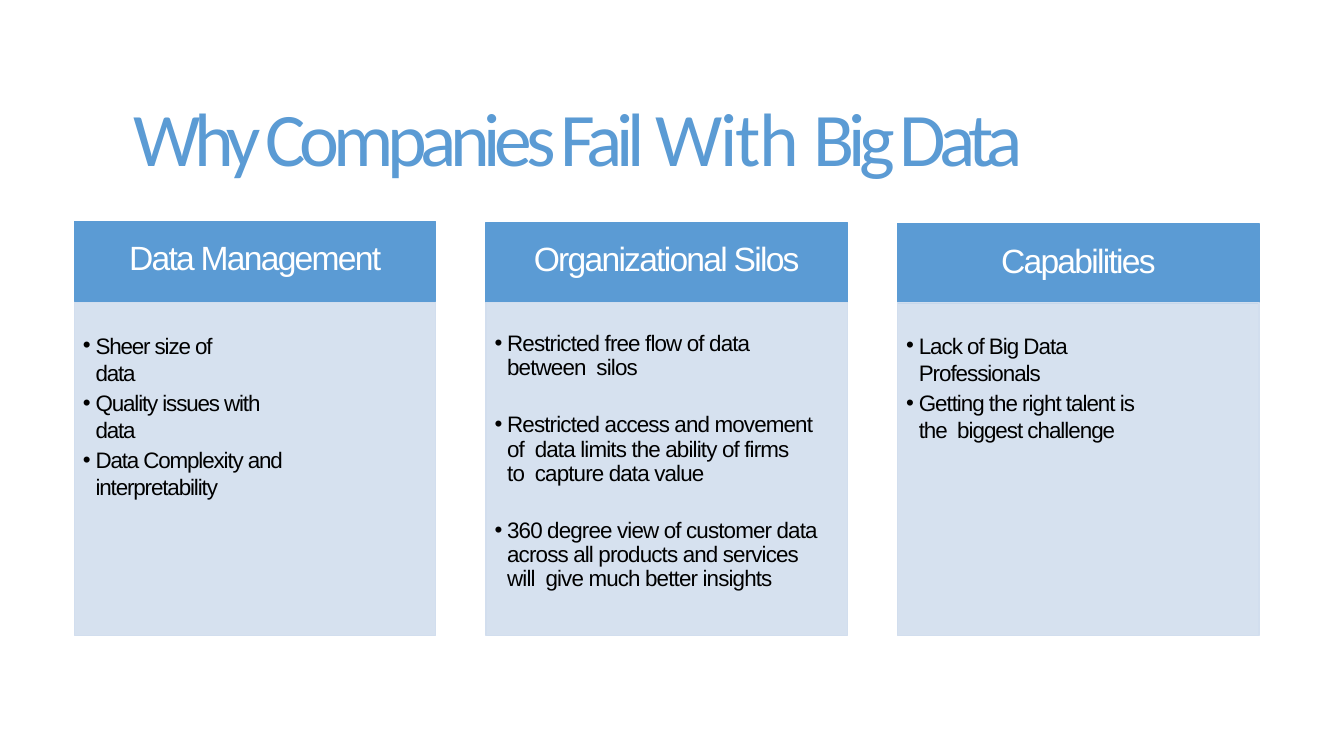
from lxml.etree import SubElement
from pptx import Presentation
from pptx.dml.color import RGBColor
from pptx.enum.shapes import MSO_SHAPE
from pptx.enum.text import MSO_ANCHOR, MSO_AUTO_SIZE, PP_ALIGN
from pptx.oxml.ns import qn
from pptx.util import Pt

PX = 9525  # EMU in one px, 96 px to the inch
BLUE = RGBColor(0x5B, 0x9B, 0xD4)
PALE = RGBColor(0xD2, 0xDE, 0xEE)
WHITE = RGBColor(0xFF, 0xFF, 0xFF)
BLACK = RGBColor(0x00, 0x00, 0x00)

CARD_LEFT, CARD_STEP, CARD_WIDTH = 71, 392, 344
HEADER_TOP, HEADER_HEIGHT = 211, 76
PANEL_TOP, PANEL_HEIGHT = 288, 317
LIST_TOP, LIST_HEIGHT, LIST_INSET = 316, 280, 8
HANGING = 12

# Letter spacing in points
TITLE_SPACING = -4.5
WIDE_WORD, WIDE_SPACING = "With ", -1.6
HEADING_SPACING = -1.25

# Heading, letter spacing, line spacing, space between items, items
CARDS = [
    ("Data Management", -0.8, 1.0, 2.5, [
        "Sheer size of\vdata",
        "Quality issues with\vdata",
        "Data Complexity and\vinterpretability",
    ]),
    ("Organizational Silos", -0.6, Pt(17.3), 23.5, [
        "Restricted free flow of data\vbetween  silos",
        "Restricted access and movement\v"
        "of  data limits the ability of firms\vto  capture data value",
        "360 degree view of customer data\v"
        "across all products and services\vwill  give much better insights",
    ]),
    ("Capabilities", -0.7, 1.0, 2.5, [
        "Lack of Big Data\vProfessionals",
        "Getting the right talent is\vthe  biggest challenge",
    ]),
]


def place(shape, left, top, width, height):
    shape.left, shape.top = left * PX, top * PX
    shape.width, shape.height = width * PX, height * PX


def set_frame(frame, anchor, top=0):
    frame.word_wrap = True
    frame.auto_size = MSO_AUTO_SIZE.NONE
    frame.vertical_anchor = anchor
    frame.margin_left = frame.margin_right = frame.margin_bottom = 0
    frame.margin_top = top * PX


def set_font(para, name, size, color):
    font = para.font
    font.name, font.size, font.bold = name, Pt(size), False
    font.color.rgb = color


def set_spacing(shape, points):
    for span in shape.element.iter(qn("a:r")):
        span.get_or_add_rPr().set("spc", str(round(points * 100)))


def add_bullets(box):
    for item in box.element.iter(qn("a:p")):
        properties = item.get_or_add_pPr()
        properties.set("marL", str(HANGING * PX))
        properties.set("indent", str(-HANGING * PX))
        SubElement(properties, qn("a:buChar")).set("char", "•")


def add_block(page, left, top, height, color):
    block = page.shapes.add_shape(
        MSO_SHAPE.RECTANGLE, left * PX, top * PX, CARD_WIDTH * PX, height * PX)
    block.shadow.inherit = False
    block.fill.solid()
    block.fill.fore_color.rgb = color
    block.line.color.rgb = color
    block.line.width = Pt(0.96)
    return block


def fill_title(title):
    place(title, 78, 85, 946, 89)
    set_frame(title.text_frame, MSO_ANCHOR.MIDDLE, 1)
    para = title.text_frame.paragraphs[0]
    para.alignment = PP_ALIGN.CENTER
    set_font(para, "Calibri", 54, BLUE)
    for text in ("Why Companies Fail ", WIDE_WORD, "Big Data"):
        para.add_run().text = text
    set_spacing(title, TITLE_SPACING)
    # One word is set wider than the rest
    for span in title.element.iter(qn("a:r")):
        if span.text == WIDE_WORD:
            span.get_or_add_rPr().set("spc", str(round(WIDE_SPACING * 100)))


def add_header(page, left, top, heading):
    header = add_block(page, left, top, HEADER_HEIGHT, BLUE)
    set_frame(header.text_frame, MSO_ANCHOR.TOP, 15)
    header.text_frame.text = heading
    para = header.text_frame.paragraphs[0]
    para.alignment = PP_ALIGN.CENTER
    set_font(para, "Arial", 24, WHITE)
    set_spacing(header, HEADING_SPACING)


def add_panel(page, left):
    panel = add_block(page, left, PANEL_TOP, PANEL_HEIGHT, PALE)
    color = next(panel.element.iter(qn("a:srgbClr")))
    SubElement(color, qn("a:alpha")).set("val", "90000")
    return panel


def fill_list(box, left, spacing, line_spacing, gap, items):
    place(box, left + LIST_INSET, LIST_TOP,
          CARD_WIDTH - 2 * LIST_INSET, LIST_HEIGHT)
    frame = box.text_frame
    set_frame(frame, MSO_ANCHOR.TOP)
    frame.text = "\n".join(items)
    add_bullets(box)
    for index, para in enumerate(frame.paragraphs):
        para.alignment = PP_ALIGN.LEFT
        para.line_spacing = line_spacing
        para.space_before = Pt(gap if index else 0)
        set_font(para, "Arial", 16, BLACK)
    set_spacing(box, spacing)


def main():
    deck = Presentation()
    deck.slide_width, deck.slide_height = 1280 * PX, 720 * PX
    page = deck.slides.add_slide(deck.slide_layouts.get_by_name("Comparison"))
    fill_title(page.shapes.title)

    # One list placeholder for each card; the spare one goes
    *boxes, spare = list(page.placeholders)[1:]
    spare.element.getparent().remove(spare.element)

    for index, (box, card) in enumerate(zip(boxes, CARDS)):
        heading, spacing, line_spacing, gap, items = card
        left = CARD_LEFT + index * CARD_STEP
        add_header(page, left, HEADER_TOP + index, heading)
        panel = add_panel(page, left)
        fill_list(box, left, spacing, line_spacing, gap, items)
        # Bring the list in front of its panel
        panel.element.addnext(box.element)

    deck.save("out.pptx")


if __name__ == "__main__":
    main()
